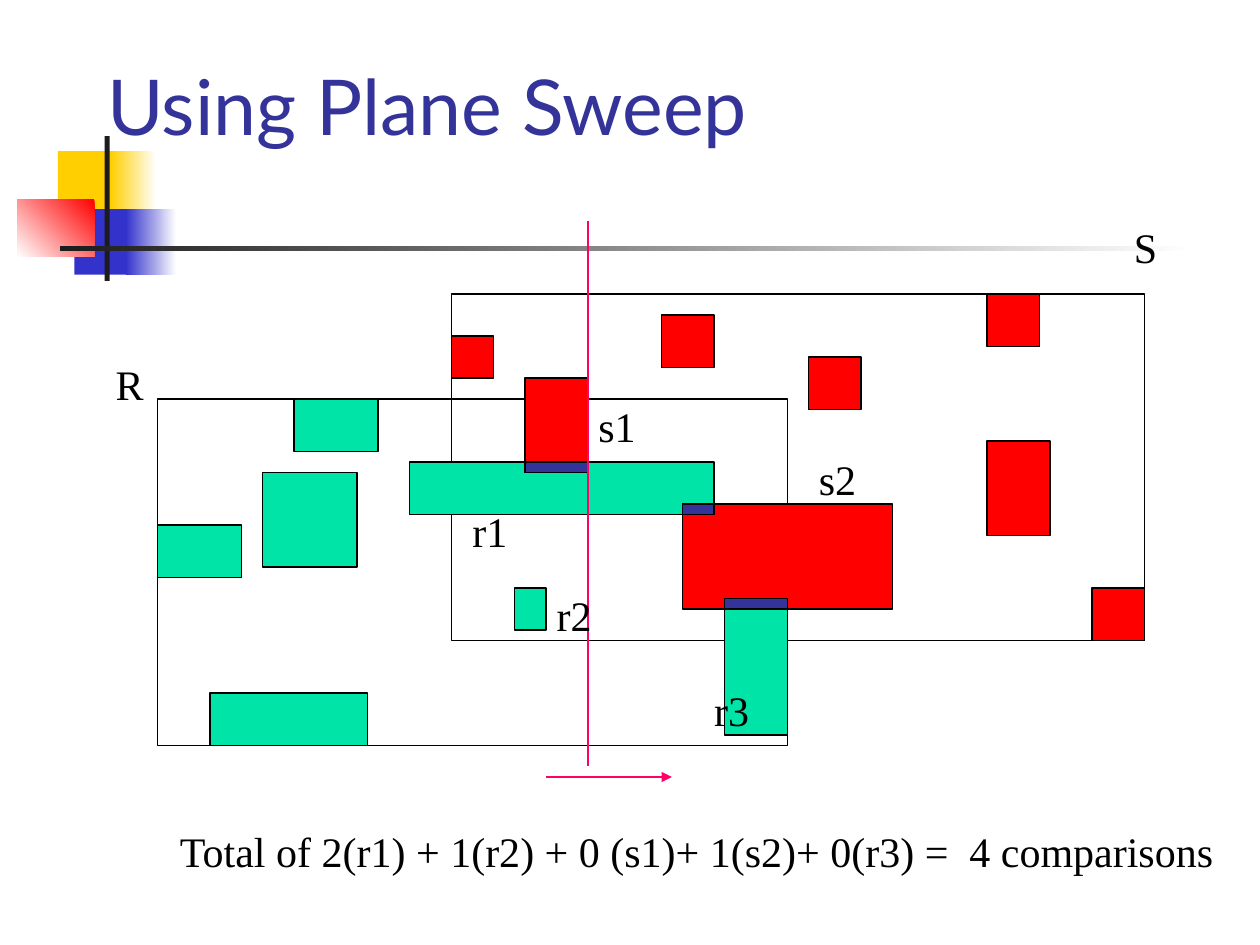
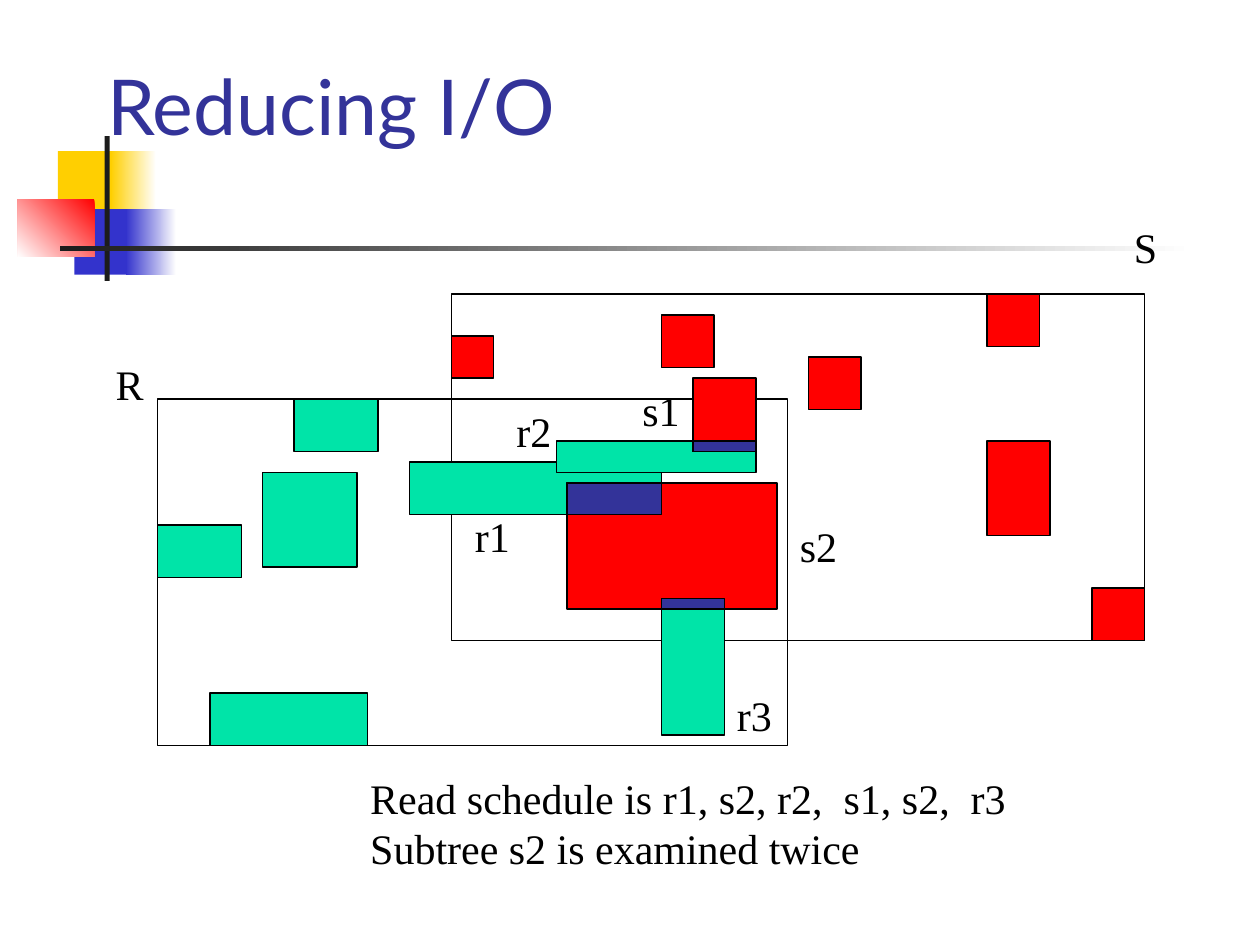
from dataclasses import dataclass
from itertools import product

from lxml import etree
from pptx import Presentation
from pptx.dml.color import RGBColor
from pptx.enum.shapes import MSO_CONNECTOR, MSO_SHAPE
from pptx.enum.text import MSO_ANCHOR, MSO_AUTO_SIZE, PP_ALIGN
from pptx.oxml.ns import qn
from pptx.util import Inches, Pt

RECT, LINE = MSO_SHAPE.RECTANGLE, MSO_CONNECTOR.STRAIGHT
LEFT, BOTTOM = PP_ALIGN.LEFT, MSO_ANCHOR.BOTTOM
FIXED, GROW = MSO_AUTO_SIZE.NONE, MSO_AUTO_SIZE.SHAPE_TO_FIT_TEXT


@dataclass(frozen=True)
class Theme:
    white: str = "FFFFFF"
    ink: str = "000000"
    dark: str = "1C1C1C"
    gold: str = "FFCF01"
    blue: str = "3333CC"
    navy: str = "333399"  # title and overlaps
    red: str = "FF0000"
    green: str = "00E4A8"
    pink: str = "FF0066"
    head: str = "Lato"
    body: str = "Times New Roman"
    big: int = 44
    text: int = 24
    thin: float = 0.75


T = Theme()
CELL = Inches(1) // 12  # diagrams sit on a grid of twelve cells to the inch
TAG = 0.52  # width of a two-letter tag, in inches

# Shared frame, in inches: place, colours, clockwise angle of the blend
TITLE = (0.75, 0, 8.5, 1.25)
MOTIF = [
    ((0.46, 1.2, 0.48, 0.52), [T.gold], 0),
    ((0.88, 1.2, 0.36, 0.52), [T.white, T.gold], 180),
    ((0.59, 1.66, 0.46, 0.52), [T.blue], 0),
    ((1, 1.66, 0.4, 0.52), [T.white, T.blue], 180),
    ((0.14, 1.58, 0.61, 0.46), [T.red, T.white], 135),
    ((0.83, 1.08, 0.04, 1.15), [T.dark], 0),
    ((0.48, 1.95, 9, 0.04), [T.white, T.dark], 180),
]

# Boxes on both slides, in cells: left, top, width, height
NODES = [(15, 38, 60, 33), (43, 28, 66, 33)]
R_REST = [(15, 50, 8, 5), (28, 38, 8, 5), (25, 45, 9, 9), (20, 66, 15, 5)]
S_REST = [(63, 30, 5, 5), (43, 32, 4, 4), (77, 34, 5, 5),
          (94, 28, 5, 5), (94, 42, 6, 9), (104, 56, 5, 5)]
NAMES = {"R": (0.82, 2.8), "S": (8.9, 1.71)}

# What differs; tags in inches: left, top; spot of the note adds its width
SLIDES = [
    dict(
        title="Using Plane Sweep",
        r=[(39, 44, 29, 5), (49, 56, 3, 4), (69, 57, 6, 13)],
        s=[(50, 36, 6, 9), (65, 48, 20, 10)],
        tags={"r1": (3.65, 3.96), "r2": (4.32, 4.63), "r3": (5.57, 5.38),
              "s1": (4.65, 3.13), "s2": (6.4, 3.55)},
        sweep=[((56, 21), (56, 73), False), ((52, 74), (64, 74), True)],
        note=["Total of 2(r1) + 1(r2) + 0 (s1)+ 1(s2)+ 0(r3) =  4 comparisons"],
        spot=(1.33, 6.5, 8.42),
    ),
    dict(
        title="Reducing I/O",
        r=[(39, 44, 24, 5), (53, 42, 19, 3), (63, 57, 6, 13)],
        s=[(66, 36, 6, 7), (54, 46, 20, 12)],
        tags={"r1": (3.67, 4), "r2": (4, 3.17), "r3": (5.75, 5.42),
              "s1": (5, 3), "s2": (6.25, 4.08)},
        sweep=[],
        note=["Read schedule is r1, s2, r2,  s1, s2,  r3",
              "Subtree s2 is examined twice"],
        spot=(2.84, 6.08, 5.33),
    ),
]


def rgb(code):
    return RGBColor.from_string(code)


def scale(spot, unit):
    return [round(n * unit) for n in spot]


def style(run, face, size, color):
    run.font.name, run.font.size = face, Pt(size)
    run.font.color.rgb = rgb(color)


def add_rect(slide, spot, unit, fills=(), angle=0, edge=True):
    box = slide.shapes.add_shape(RECT, *scale(spot, unit))
    box.shadow.inherit = False
    if not fills:
        box.fill.background()
    elif len(fills) == 1:
        box.fill.solid()
        box.fill.fore_color.rgb = rgb(fills[0])
    else:
        box.fill.gradient()
        box.fill.gradient_angle = 360 - angle
        for stop, color in zip(box.fill.gradient_stops, fills):
            stop.color.rgb = rgb(color)
    if edge:
        box.line.color.rgb, box.line.width = rgb(T.ink), Pt(T.thin)
    else:
        box.line.fill.background()
    return box


def add_text(slide, lines, left, top, width=TAG):
    high = 0.1 + 0.4 * len(lines)
    box = slide.shapes.add_textbox(*scale((left, top, width, high), Inches(1)))
    frame = box.text_frame
    frame.word_wrap, frame.auto_size = False, GROW
    for i, line in enumerate(lines):
        para = frame.add_paragraph() if i else frame.paragraphs[0]
        para.alignment = LEFT
        run = para.add_run()
        run.text = line
        style(run, T.body, T.text, T.ink)


def add_line(slide, start, end, arrow):
    line = slide.shapes.add_connector(LINE, *scale(start + end, CELL))
    line.line.color.rgb, line.line.width = rgb(T.pink), Pt(T.thin)
    props = line.element.spPr
    if arrow:
        etree.SubElement(props.find(qn("a:ln")), qn("a:tailEnd"), type="triangle")
    etree.SubElement(props, qn("a:effectLst"))


def overlap(a, b):
    """Shared part of two boxes, or None."""
    left, top = max(a[0], b[0]), max(a[1], b[1])
    wide = min(a[0] + a[2], b[0] + b[2]) - left
    high = min(a[1] + a[3], b[1] + b[3]) - top
    return (left, top, wide, high) if wide > 0 and high > 0 else None


def set_frame(layout, slide):
    """Place the title and move the motif into the layout."""
    for item in list(layout.placeholders):
        if item.placeholder_format.idx:
            item.element.getparent().remove(item.element)
        else:
            item.left, item.top, item.width, item.height = scale(TITLE, Inches(1))
    for spot, fills, angle in MOTIF:
        part = add_rect(slide, spot, Inches(1), fills, angle, edge=False)
        layout.shapes.element.append(part.element)


def set_title(slide, text):
    frame = slide.shapes.title.text_frame
    frame.vertical_anchor, frame.auto_size = BOTTOM, FIXED
    para = frame.paragraphs[0]
    para.alignment = LEFT
    run = para.add_run()
    run.text = text
    style(run, T.head, T.big, T.navy)


def draw(slide, data):
    set_title(slide, data["title"])
    # Nodes, entries, then the overlaps of every pair
    greens, reds = R_REST + data["r"], S_REST + data["s"]
    common = [overlap(a, b) for a, b in product(greens, reds)]
    groups = [(NODES, []), (greens, [T.green]), (reds, [T.red]),
              (filter(None, common), [T.navy])]
    for spots, fills in groups:
        for spot in spots:
            add_rect(slide, spot, CELL, fills)
    # Sweep line and its direction
    for start, end, arrow in data["sweep"]:
        add_line(slide, start, end, arrow)
    # Tags and note
    for tag, spot in (NAMES | data["tags"]).items():
        add_text(slide, [tag], *spot)
    add_text(slide, data["note"], *data["spot"])


def main():
    deck = Presentation()
    deck.slide_width, deck.slide_height = Inches(10), Inches(7.5)
    layout = deck.slide_layouts.get_by_name("Title Only")
    for i, data in enumerate(SLIDES):
        slide = deck.slides.add_slide(layout)
        if not i:
            set_frame(layout, slide)
        draw(slide, data)
    deck.save("out.pptx")


if __name__ == "__main__":
    main()
